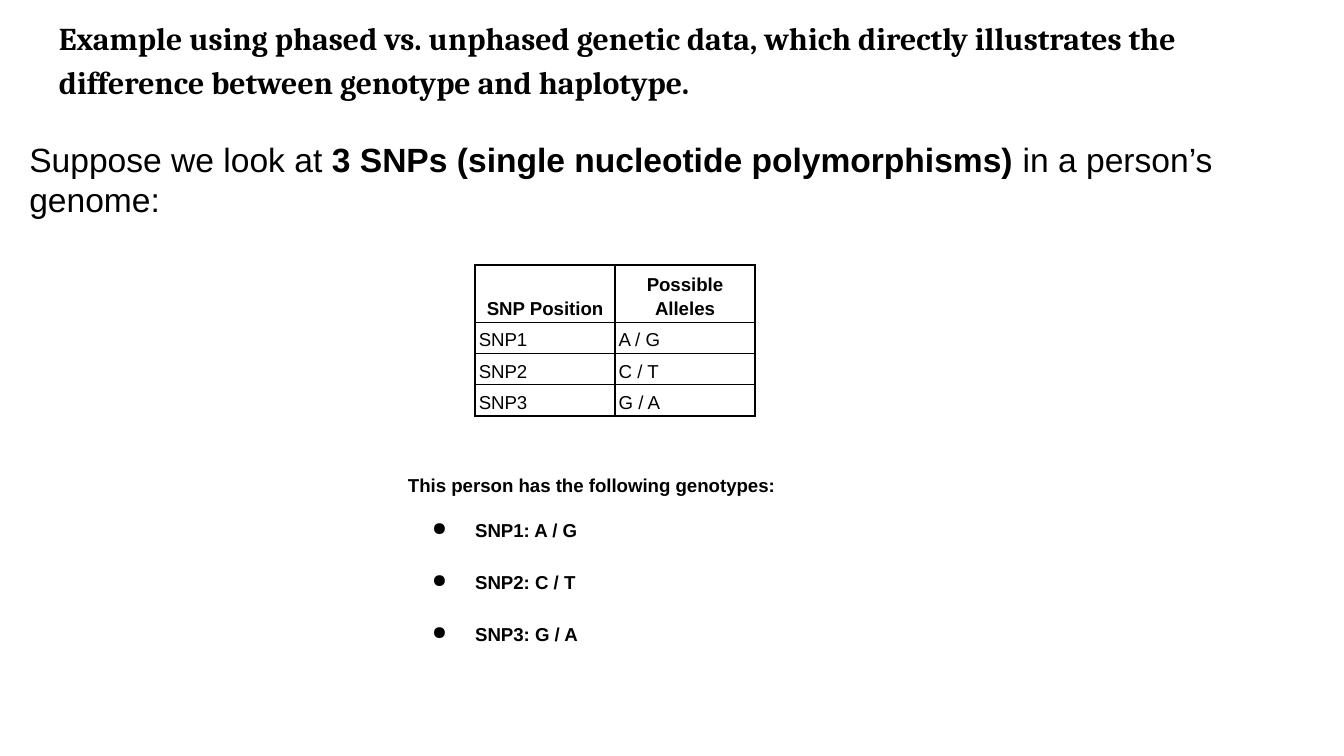
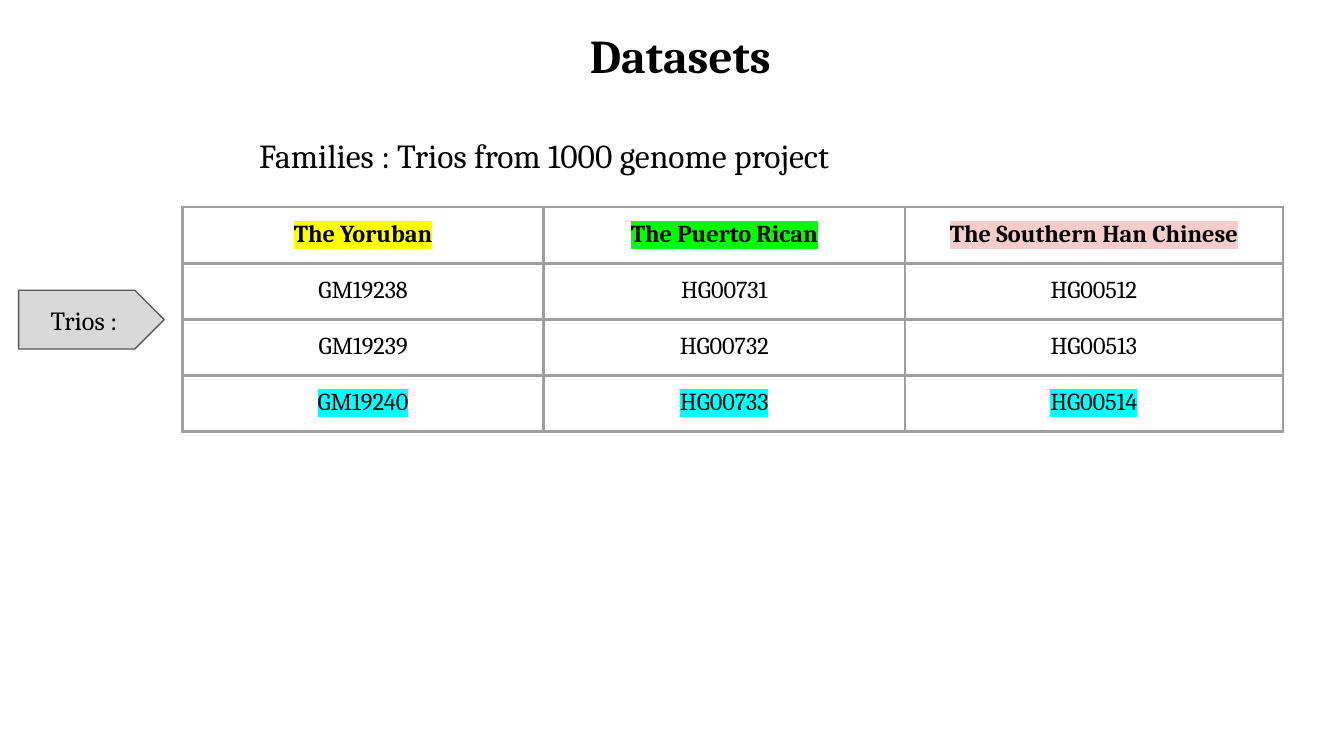
import dataclasses

import lxml.etree
import pptx
import pptx.dml.color
import pptx.enum.shapes
import pptx.enum.text
import pptx.oxml.ns
import pptx.util

Pt = pptx.util.Pt
qn = pptx.oxml.ns.qn
ALIGN = pptx.enum.text.PP_ALIGN
ANCHOR = pptx.enum.text.MSO_ANCHOR


@dataclasses.dataclass(frozen=True)
class Theme:
    """Colours, fonts, type sizes and insets of the deck."""
    serif: str = "Cambria"
    sans: str = "Arial"
    ink: str = "000000"
    grid: str = "9E9E9E"
    tag_fill: str = "D9D9D9"
    tag_line: str = "595959"
    yellow: str = "FFFF00"
    green: str = "00FF00"
    pink: str = "F4CCCC"
    cyan: str = "00FFFF"
    title: float = 25.2
    long_title: float = 17
    lead: float = 18
    tag: float = 14
    data: float = 13
    small: float = 10
    inset: float = 7.2


T = Theme()


def rgb(value):
    """Return a colour object for a hex string."""
    return pptx.dml.color.RGBColor.from_string(value)


def add_child(parent, tag, index=None, **attrs):
    """Add an XML child to parent, at index if one is given."""
    el = lxml.etree.Element(qn(tag), attrs)
    parent.insert(len(parent) if index is None else index, el)
    return el


def write(tf, text, size, font=T.serif, bold=False, align=ALIGN.LEFT, line=None,
          before=0, highlight=None, bullet=None):
    """Write one paragraph; parts between double asterisks are bold."""
    p = tf.paragraphs[0]
    if p.runs:
        p = tf.add_paragraph()
    p.alignment, p.space_before = align, Pt(before)
    if line:
        p.line_spacing = line
    if bullet:
        pPr = p._p.get_or_add_pPr()
        pPr.set("marL", str(Pt(36)))
        pPr.set("indent", str(-Pt(23)))
        add_child(add_child(pPr, "a:buClr"), "a:srgbClr", val=T.ink)
        add_child(pPr, "a:buChar", char=bullet)
    for i, part in enumerate(text.split("**")):
        r = p.add_run()
        r.text = part
        r.font.size, r.font.name = Pt(size), font
        r.font.bold = bold or i % 2 == 1
        r.font.color.rgb = rgb(T.ink)
        if highlight:
            mark = add_child(r._r.rPr, "a:highlight", 1)
            add_child(mark, "a:srgbClr", val=highlight)


def set_insets(target, x, y):
    """Set the horizontal and vertical insets of a text frame or cell."""
    target.margin_left = target.margin_right = Pt(x)
    target.margin_top = target.margin_bottom = Pt(y)


def text_box(s, box):
    """Add a wrapping text box and return its text frame."""
    tf = s.shapes.add_textbox(*map(Pt, box)).text_frame
    tf.word_wrap = True
    set_insets(tf, T.inset, T.inset)
    return tf


def title(s, box, text, size=T.title, **fmt):
    """Add the bold serif title of a slide."""
    write(text_box(s, box), text, size, bold=True, **fmt)


def set_borders(cell, color, width):
    """Draw all four borders of a cell."""
    tcPr = cell._tc.get_or_add_tcPr()
    for i, side in enumerate(("lnL", "lnR", "lnT", "lnB")):
        ln = add_child(tcPr, "a:" + side, i, w=str(Pt(width)))
        add_child(add_child(ln, "a:solidFill"), "a:srgbClr", val=color)


def grid_table(s, left, top, cols, heights, rows, border, insets, anchor, style):
    """Add a bordered table; style(row, col) gives the text format of a cell."""
    box = map(Pt, (left, top, sum(cols), sum(heights)))
    table = s.shapes.add_table(len(rows), len(cols), *box).table
    table.first_row = table.horz_banding = False
    for col, width in zip(table.columns, cols):
        col.width = Pt(width)
    for i, (row, height) in enumerate(zip(rows, heights)):
        table.rows[i].height = Pt(height)
        for j, text in enumerate(row):
            cell = table.cell(i, j)
            cell.fill.background()
            cell.vertical_anchor = anchor
            set_insets(cell, *insets)
            set_borders(cell, *border)
            write(cell.text_frame, text, **style(i, j))


def snp_table(s, left, top, snps):
    """Add the table of SNP positions and their alleles."""
    def style(i, j):
        """Centre and embolden the header row."""
        return dict(size=T.small, font=T.sans, line=1.15, bold=i == 0,
                    align=ALIGN.LEFT if i else ALIGN.CENTER)

    rows = [("SNP Position", "Possible Alleles"), *snps]
    grid_table(s, left, top, [75] * 2, [26] + [16] * len(snps), rows,
               (T.ink, 0.75), (2, 1.5), ANCHOR.BOTTOM, style)


def genotype_list(s, box, snps):
    """Add the bulleted list of genotypes."""
    tf = text_box(s, box)
    fmt = dict(size=T.small, font=T.sans, bold=True, line=1.15)
    write(tf, "This person has the following genotypes:", before=10, **fmt)
    for i, (name, alleles) in enumerate(snps):
        write(tf, f"{name}: {alleles}", before=14 if i else 10, bullet="●", **fmt)


def trio_table(s, left, top):
    """Add the table of family trios with highlighted header and children."""
    heads = (T.yellow, T.green, T.pink)
    rows = [("The Yoruban", "The Puerto Rican", "The Southern Han Chinese")]
    rows += [(f"GM{19238 + i}", f"HG00{731 + i}", f"HG00{512 + i}") for i in range(3)]

    def style(i, j):
        """Mark the header by family and the last row as children."""
        mark = heads[j] if i == 0 else T.cyan if i == 3 else None
        return dict(size=T.data, bold=i == 0, align=ALIGN.CENTER, highlight=mark)

    grid_table(s, left, top, [193.5, 193.5, 202.5], [30] * 4, rows,
               (T.grid, 1.5), (T.inset, T.inset), ANCHOR.TOP, style)


def trio_tag(s, box):
    """Add the pentagon that labels the trio rows."""
    kind = pptx.enum.shapes.MSO_SHAPE.PENTAGON
    sp = s.shapes.add_shape(kind, *map(Pt, box))
    sp.shadow.inherit = False
    sp.fill.solid()
    sp.fill.fore_color.rgb = rgb(T.tag_fill)
    sp.line.color.rgb = rgb(T.tag_line)
    sp.line.width = Pt(0.75)
    tf = sp.text_frame
    tf.vertical_anchor = ANCHOR.MIDDLE
    set_insets(tf, T.inset, T.inset)
    write(tf, "Trios :", T.tag, align=ALIGN.CENTER)


def genotype_slide(s):
    """Build the slide on genotype and haplotype."""
    snps = [("SNP1", "A / G"), ("SNP2", "C / T"), ("SNP3", "G / A")]
    title(s, (24.5, 0, 671, 45),
          "Example using phased vs. unphased genetic data, which directly "
          "illustrates the difference between genotype and haplotype.",
          T.long_title, line=1.15, before=12)
    write(text_box(s, (8.6, 67, 671, 58)),
          "Suppose we look at **3 SNPs (single nucleotide polymorphisms)** "
          "in a person’s genome:", T.lead, font=T.sans)
    snp_table(s, 254.5, 142, snps)
    genotype_list(s, (211.5, 245, 236, 106.5), snps)


def datasets_slide(s):
    """Build the slide on the family datasets."""
    trio_table(s, 97.75, 111)
    trio_tag(s, (10, 155.5, 78, 31.5))
    title(s, (29, 7.2, 671, 45), "Datasets", align=ALIGN.CENTER)
    write(text_box(s, (131.75, 65, 483, 36)),
          "Families : Trios from 1000 genome project", T.lead)


def main():
    """Build and save the deck."""
    prs = pptx.Presentation()
    prs.slide_width, prs.slide_height = Pt(720), Pt(405)
    for build in (genotype_slide, datasets_slide):
        build(prs.slides.add_slide(prs.slide_layouts[6]))
    prs.save("out.pptx")


if __name__ == "__main__":
    main()
